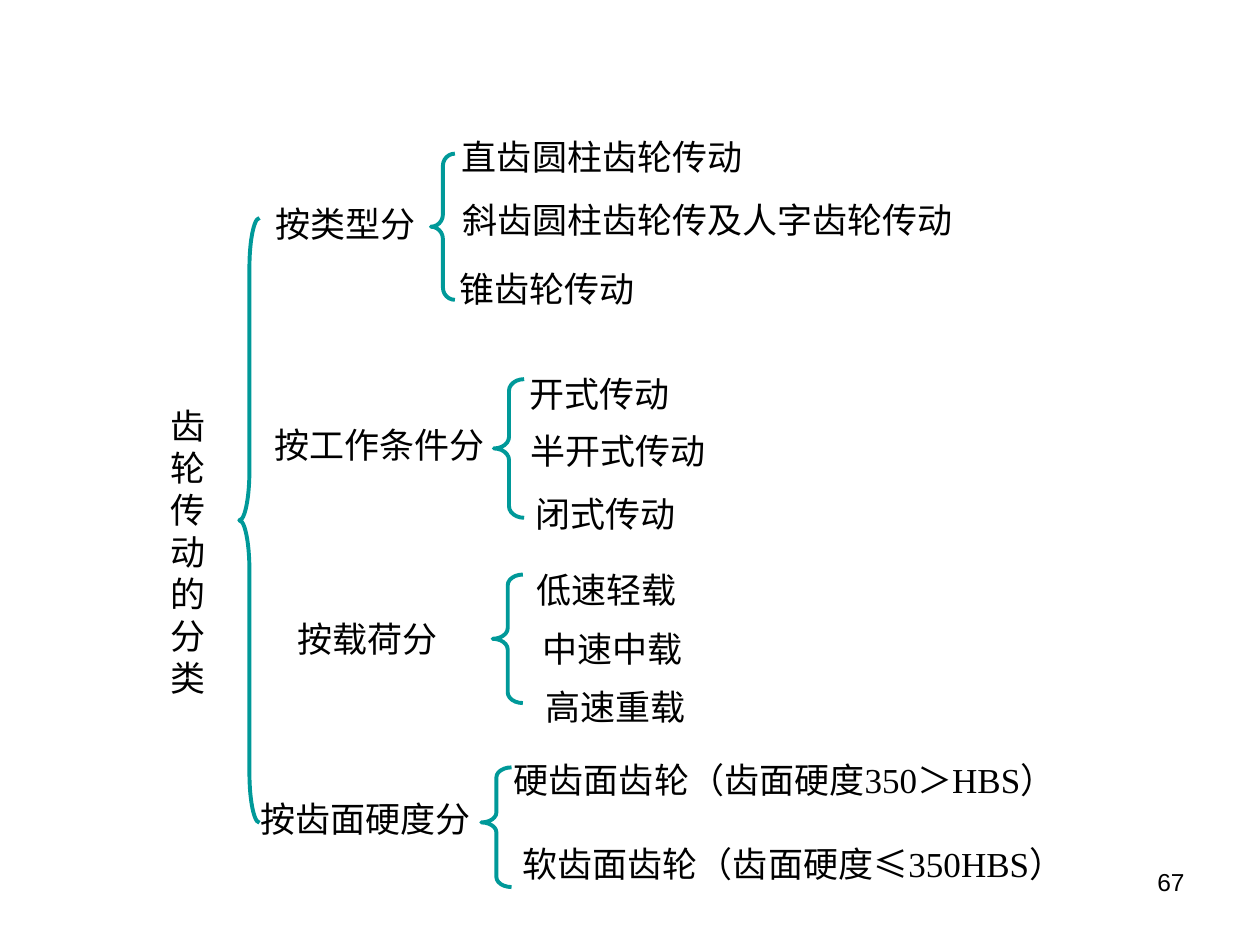
from pptx import Presentation
from pptx.dml.color import RGBColor
from pptx.enum.shapes import MSO_SHAPE
from pptx.enum.text import MSO_AUTO_SIZE, PP_ALIGN
from pptx.util import Inches, Pt


def color(value):
    return RGBColor.from_string(value)


def add_text(text, x, y, w, h, align=PP_ALIGN.CENTER, wrap=False,
             inset=True, size=20, font="Times New Roman"):
    box = s.shapes.add_textbox(Inches(x), Inches(y), Inches(w), Inches(h))
    tf = box.text_frame
    tf.word_wrap = wrap
    tf.auto_size = MSO_AUTO_SIZE.SHAPE_TO_FIT_TEXT
    if not inset:
        tf.margin_left = tf.margin_right = 0
        tf.margin_top = tf.margin_bottom = 0
    p = tf.paragraphs[0]
    p.text = text
    p.alignment = align
    p.font.size = Pt(size)
    p.font.name = font
    p.font.color.rgb = color("000000")


prs = Presentation()
prs.slide_width = Inches(10)
prs.slide_height = Inches(7.5)
s = prs.slides.add_slide(prs.slide_layouts[6])

braces = [
    (1.9, 1.73, 0.16, 4.8, 0.5),
    (3.42, 1.22, 0.19, 1.16, 0.5),
    (3.92, 3.01, 0.24, 1.1, 0.5),
    (3.91, 4.56, 0.24, 1.02, 0.5),
    (3.82, 6.09, 0.24, 0.95, 0.46),
]
for x, y, w, h, tip in braces:
    sp = s.shapes.add_shape(MSO_SHAPE.LEFT_BRACE, Inches(x), Inches(y), Inches(w), Inches(h))
    sp.adjustments[0] = h / w / 12
    sp.adjustments[1] = tip
    sp.shadow.inherit = False
    sp.fill.background()
    sp.line.color.rgb = color("009999")
    sp.line.width = Pt(2.25)

add_text("齿轮传动的分类", 1.35, 3.21, 0.4, 2.33, PP_ALIGN.LEFT, wrap=True, inset=False)

categories = [
    ("按类型分", 2.08, 1.56, 1.32),
    ("按工作条件分", 2.07, 3.31, 1.88),
    ("按载荷分", 2.22, 4.85, 1.39),
    ("按齿面硬度分", 1.95, 6.28, 1.9),
]
for text, x, y, w in categories:
    add_text(text, x, y, w, 0.44, wrap=True)

items = [
    ("直齿圆柱齿轮传动", 3.55, 1.03, 2.46),
    ("锥齿轮传动", 3.55, 2.07, 1.59),
    ("半开式传动", 4.11, 3.36, 1.59),
    ("闭式传动", 4.15, 3.86, 1.31),
    ("低速轻载", 4.16, 4.46, 1.31),
    ("中速中载", 4.21, 4.93, 1.31),
    ("高速重载", 4.23, 5.39, 1.31),
]
for text, x, y, w in items:
    add_text(text, x, y, w, 0.44)

long_items = [
    ("斜齿圆柱齿轮传及人字齿轮传动", 3.57, 1.53, 4.15),
    ("硬齿面齿轮（齿面硬度350＞HBS）", 3.98, 5.97, 4.9),
    ("软齿面齿轮（齿面硬度≤350HBS）", 4.05, 6.64, 4.77),
]
for text, x, y, w in long_items:
    add_text(text, x, y, w, 0.44, PP_ALIGN.LEFT)

add_text("开式传动", 4.2, 2.96, 1.17, 0.67, PP_ALIGN.LEFT, wrap=True, inset=False)
add_text("67", 7.17, 6.83, 2.33, 0.52, PP_ALIGN.RIGHT, wrap=True, size=14, font="Arial")

prs.save("out.pptx")
